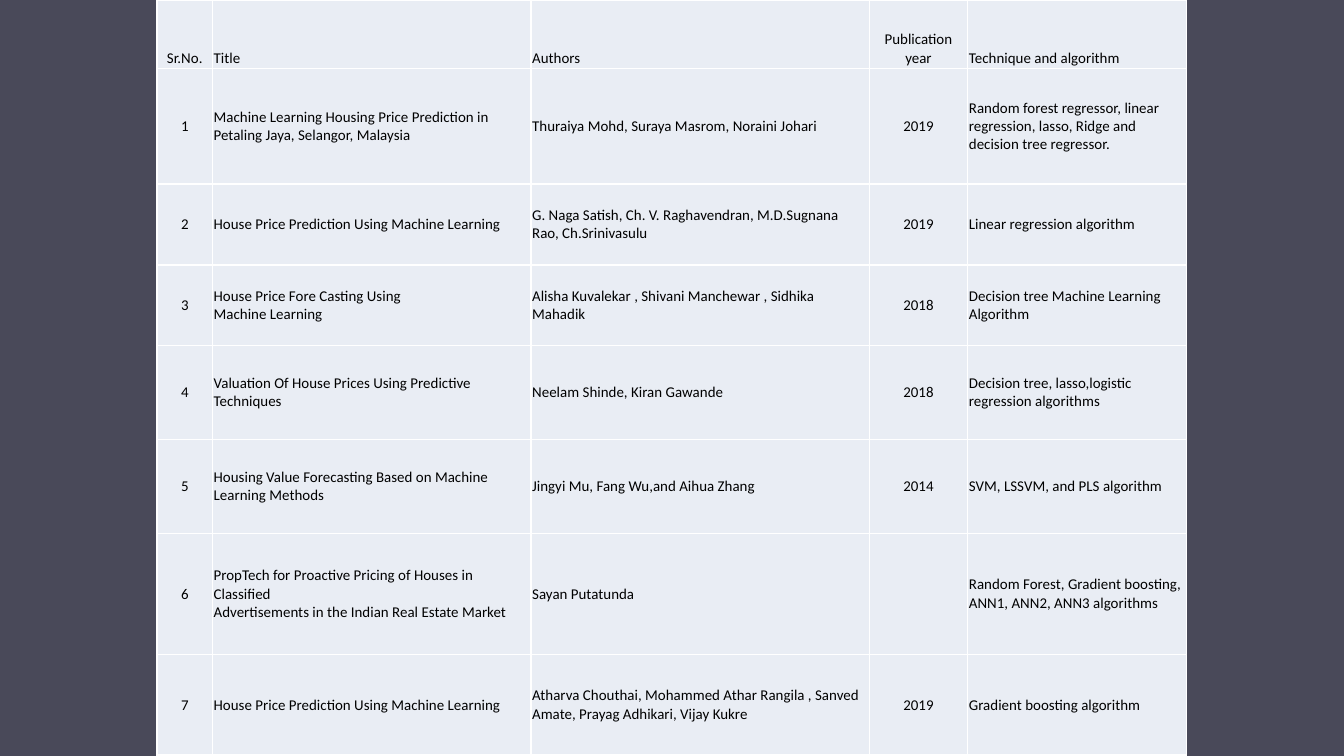
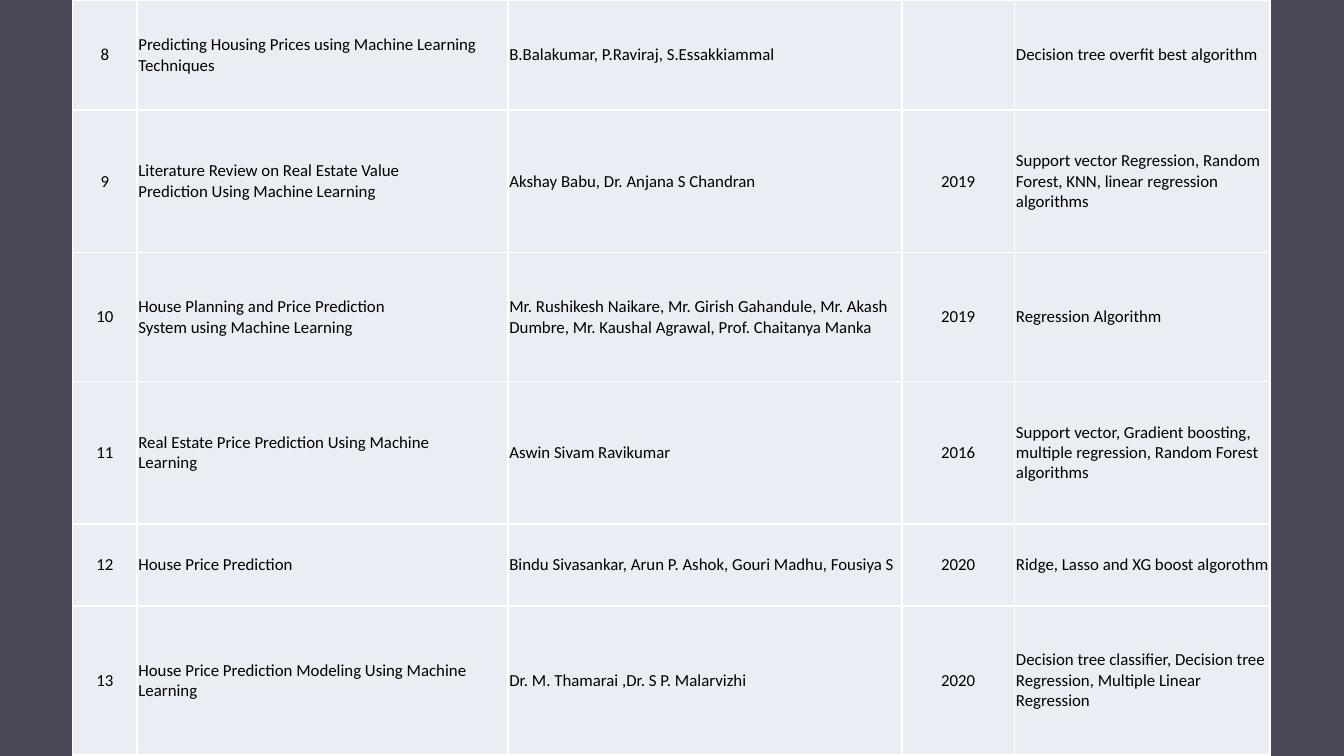
from dataclasses import dataclass

from lxml.etree import SubElement
from pptx import Presentation
from pptx.dml.color import RGBColor
from pptx.enum.shapes import MSO_SHAPE
from pptx.enum.text import MSO_ANCHOR, PP_ALIGN
from pptx.oxml import parse_xml
from pptx.oxml.ns import nsdecls, qn
from pptx.util import Inches, Pt


@dataclass(frozen=True)
class Theme:
    backdrop: str = "494959"
    cell: str = "E9EDF4"
    border: str = "FFFFFF"
    text: str = "000000"
    font: str = "Calibri"
    border_width: float = 1
    small: int = 8
    regular: int = 9


THEME = Theme()
WIDTH = 10
HEIGHT = WIDTH * 9 / 16
CELL_MARGIN = 0.01
CENTERED_COLUMNS = (0, 3)

HEADER = ("Sr.No.", "Title", "Authors", "Publication year", "Technique and algorithm")

# Title, authors, publication year, technique
FIRST_PAPERS = [
    ("Machine Learning Housing Price Prediction in \nPetaling Jaya, Selangor, Malaysia",
     "Thuraiya Mohd, Suraya Masrom, Noraini Johari", "2019",
     "Random forest regressor, linear regression, lasso, Ridge and decision tree regressor."),
    ("House Price Prediction Using Machine Learning",
     "G. Naga Satish, Ch. V. Raghavendran, M.D.Sugnana Rao, Ch.Srinivasulu", "2019",
     "Linear regression algorithm"),
    ("House Price Fore Casting Using \nMachine Learning",
     "Alisha Kuvalekar , Shivani Manchewar , Sidhika Mahadik", "2018",
     "Decision tree Machine Learning Algorithm"),
    ("Valuation Of House Prices Using Predictive \nTechniques",
     "Neelam Shinde, Kiran Gawande", "2018",
     "Decision tree, lasso,logistic regression algorithms"),
    ("Housing Value Forecasting Based on Machine Learning Methods",
     "Jingyi Mu, Fang Wu,and Aihua Zhang", "2014",
     "SVM, LSSVM, and PLS algorithm"),
    ("PropTech for Proactive Pricing of Houses in Classified \n"
     "Advertisements in the Indian Real Estate Market",
     "Sayan Putatunda", "",
     "Random Forest, Gradient boosting, ANN1, ANN2, ANN3 algorithms"),
    ("House Price Prediction Using Machine Learning",
     "Atharva Chouthai, Mohammed Athar Rangila , Sanved Amate, Prayag Adhikari, Vijay Kukre",
     "2019", "Gradient boosting algorithm"),
]

SECOND_PAPERS = [
    ("Predicting Housing Prices using Machine Learning \nTechniques",
     "B.Balakumar, P.Raviraj, S.Essakkiammal", "",
     "Decision tree overfit best algorithm"),
    ("Literature Review on Real Estate Value \nPrediction Using Machine Learning",
     "Akshay Babu, Dr. Anjana S Chandran", "2019",
     "Support vector Regression, Random Forest, KNN, linear regression algorithms"),
    ("House Planning and Price Prediction \nSystem using Machine Learning",
     "Mr. Rushikesh Naikare, Mr. Girish Gahandule, Mr. Akash Dumbre, "
     "Mr. Kaushal Agrawal, Prof. Chaitanya Manka", "2019",
     "Regression Algorithm"),
    ("Real Estate Price Prediction Using Machine \nLearning",
     "Aswin Sivam Ravikumar", "2016",
     "Support vector, Gradient boosting, multiple regression, Random Forest algorithms"),
    ("House Price Prediction",
     "Bindu Sivasankar, Arun P. Ashok, Gouri Madhu, Fousiya S", "2020",
     "Ridge, Lasso and XG boost algorothm"),
    ("House Price Prediction Modeling Using Machine \nLearning",
     "Dr. M. Thamarai ,Dr. S P. Malarvizhi", "2020",
     "Decision tree classifier, Decision tree Regression, Multiple Linear Regression"),
]


def numbered(papers, start):
    return [(str(number), *paper) for number, paper in enumerate(papers, start)]


def add_page(deck):
    page = deck.slides.add_slide(deck.slide_layouts[6])
    backdrop = page.shapes.add_shape(
        MSO_SHAPE.RECTANGLE, 0, 0, Inches(WIDTH), Inches(HEIGHT))
    backdrop.shadow.inherit = False
    backdrop.fill.solid()
    backdrop.fill.fore_color.rgb = RGBColor.from_string(THEME.backdrop)
    backdrop.line.fill.background()
    return page


def add_borders(cell):
    """Insert the four border lines ahead of the cell's fill, as the schema asks."""
    properties = cell._tc.get_or_add_tcPr()
    for index, side in enumerate("LRTB"):
        properties.insert(index, parse_xml(
            f'<a:ln{side} {nsdecls("a")} w="{Pt(THEME.border_width)}"><a:solidFill>'
            f'<a:srgbClr val="{THEME.border}"/></a:solidFill></a:ln{side}>'))


def write_cell(cell, text, size, centered, anchor):
    cell.margin_left = cell.margin_right = Inches(CELL_MARGIN)
    cell.margin_top = cell.margin_bottom = Inches(CELL_MARGIN)
    cell.vertical_anchor = anchor
    cell.fill.solid()
    cell.fill.fore_color.rgb = RGBColor.from_string(THEME.cell)
    add_borders(cell)

    para = cell.text_frame.paragraphs[0]
    para.text = text
    para.alignment = PP_ALIGN.CENTER if centered else PP_ALIGN.LEFT
    for span in para.runs:
        span.font.name = THEME.font
        span.font.size = Pt(size)
        span.font.color.rgb = RGBColor.from_string(THEME.text)
    for line_break in para._p.findall(qn("a:br")):
        SubElement(line_break, qn("a:rPr"), sz=str(size * 100))


def add_paper_table(page, left, widths, heights, rows, size):
    frame = page.shapes.add_table(
        len(rows), len(widths), Inches(left), 0,
        Inches(sum(widths)), Inches(sum(heights)))
    table = frame.table
    table.first_row = table.horz_banding = False
    for column, width in zip(table.columns, widths):
        column.width = Inches(width)
    for row, height in zip(table.rows, heights):
        row.height = Inches(height)
    for row_index, row in enumerate(rows):
        anchor = MSO_ANCHOR.BOTTOM if row is HEADER else MSO_ANCHOR.MIDDLE
        for column_index, text in enumerate(row):
            write_cell(table.cell(row_index, column_index), text, size,
                       column_index in CENTERED_COLUMNS, anchor)


def main():
    deck = Presentation()
    deck.slide_width, deck.slide_height = Inches(WIDTH), Inches(HEIGHT)

    add_paper_table(
        add_page(deck), 1.17,
        widths=(0.41, 2.37, 2.52, 0.73, 1.63),
        heights=(0.51, 0.86, 0.6, 0.6, 0.7, 0.7, 0.9, 0.75),
        rows=[HEADER, *numbered(FIRST_PAPERS, 1)], size=THEME.small)
    add_paper_table(
        add_page(deck), 0.54,
        widths=(0.48, 2.76, 2.93, 0.84, 1.9),
        heights=(0.82, 1.06, 0.96, 1.06, 0.61, 1.11),
        rows=numbered(SECOND_PAPERS, len(FIRST_PAPERS) + 1), size=THEME.regular)

    deck.save("out.pptx")


if __name__ == "__main__":
    main()
